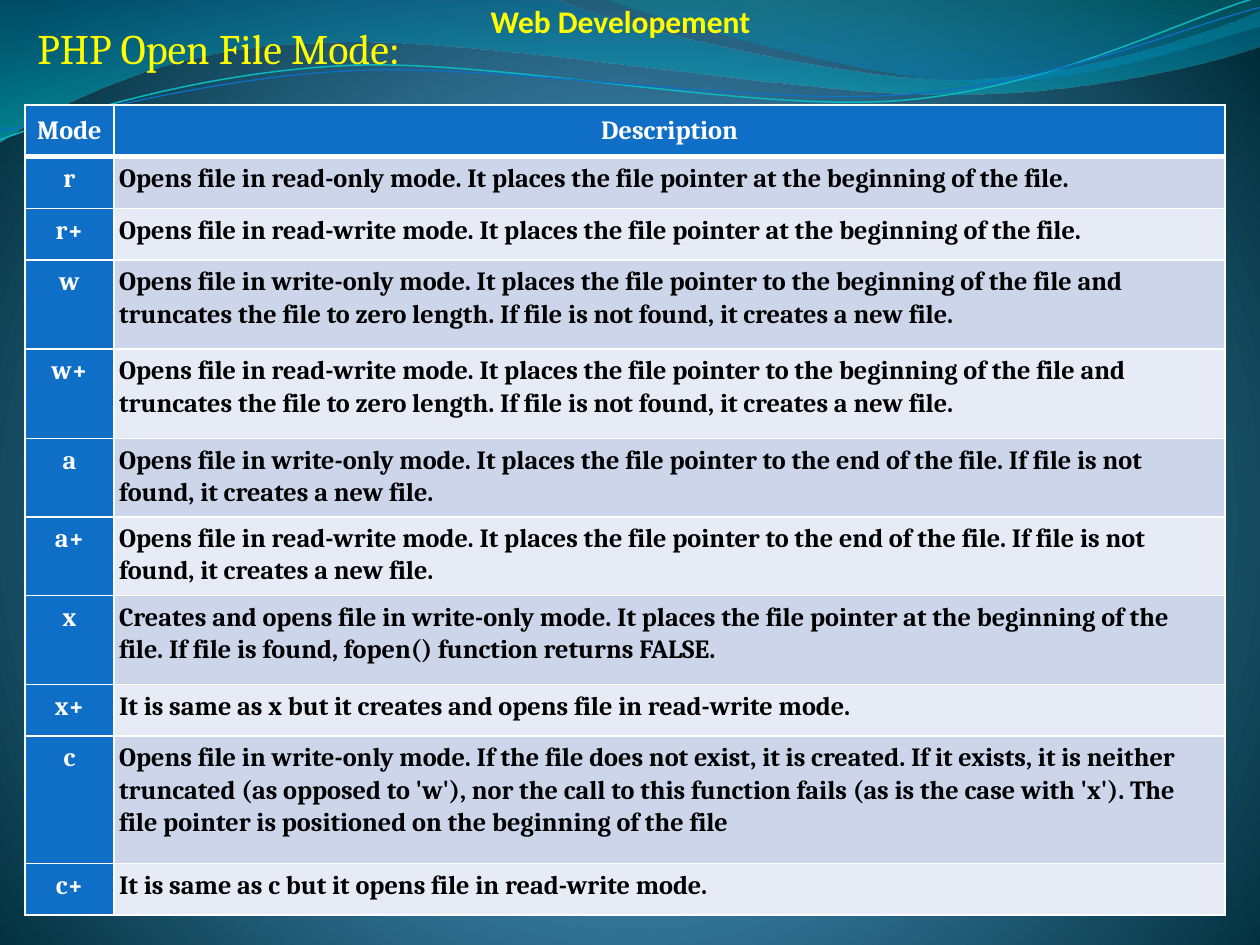
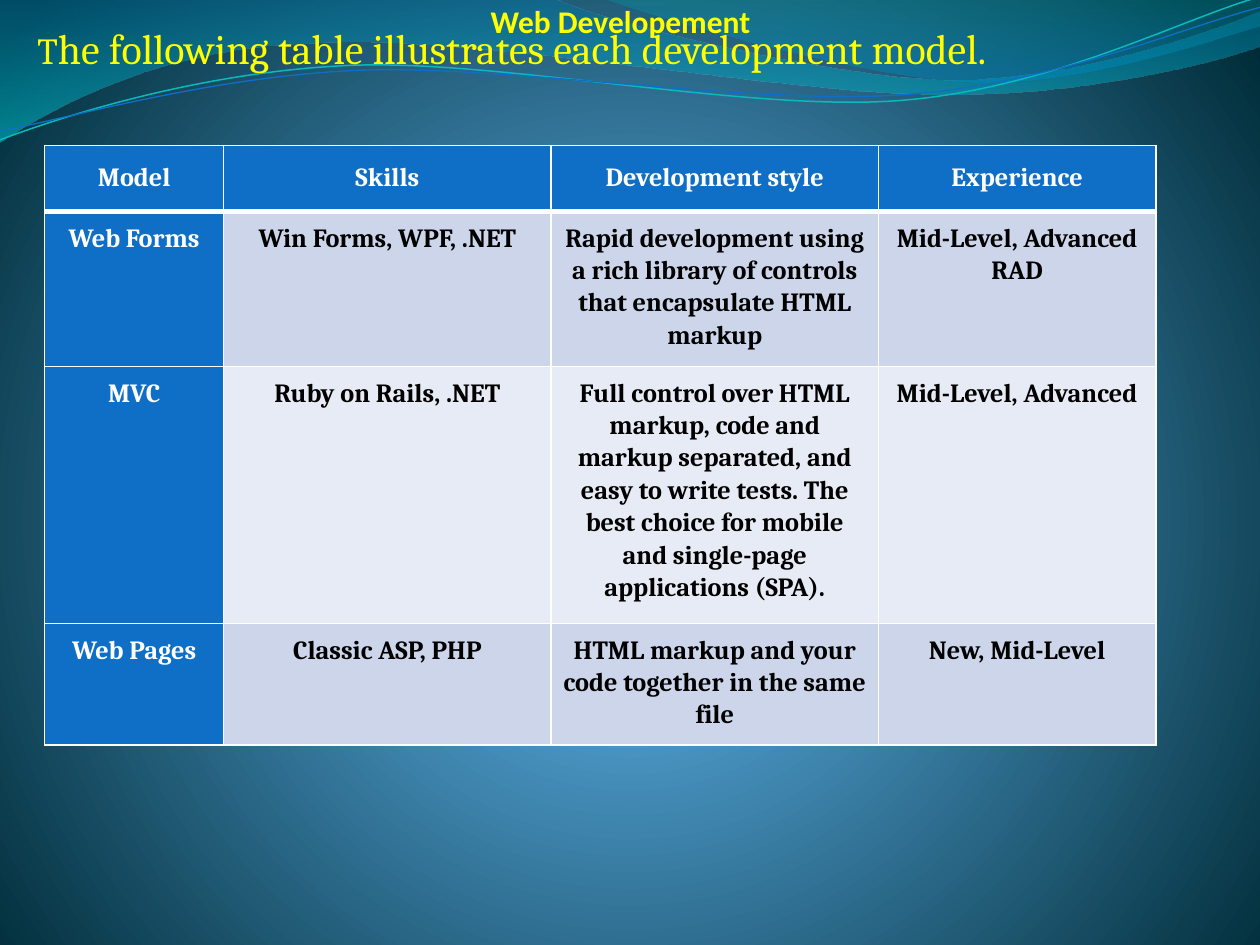
from dataclasses import dataclass
from itertools import chain

from lxml import etree
from pptx import Presentation
from pptx.dml.color import RGBColor
from pptx.enum.text import MSO_ANCHOR, MSO_AUTO_SIZE, PP_ALIGN
from pptx.oxml.ns import qn
from pptx.oxml.xmlchemy import BaseOxmlElement
from pptx.presentation import Presentation as Deck
from pptx.slide import Slide
from pptx.table import _Cell
from pptx.text.text import _Paragraph
from pptx.util import Cm, Length, Pt

LEFT = PP_ALIGN.LEFT
CENTER = PP_ALIGN.CENTER
TOP = MSO_ANCHOR.TOP
NO_AUTOFIT = MSO_AUTO_SIZE.NONE
TITLE_ONLY = 5
HARD_SPACE = chr(160)

Point = tuple[float, float]


@dataclass(frozen=True)
class Stop:
    position: int
    color: str
    opacity: int = 100


@dataclass(frozen=True)
class Theme:
    heading_font: str = "Cambria"
    banner_font: str = "Calibri"
    yellow: str = "FFFF00"
    white: str = "FFFFFF"
    black: str = "000000"
    blue: str = "0F6FC6"
    aqua: str = "0AB8BF"
    dark_row: str = "CCD5EA"
    light_row: str = "E7EBF5"
    title_size: float = 24
    small_initial_size: float = 21
    banner_size: float = 18
    table_size: float = 15
    table_spacing: float = 1.07
    thin_border: float = 1
    thick_border: float = 3
    background: tuple[Stop, ...] = (Stop(0, "4AA0D6"), Stop(25, "4C98C7"), Stop(100, "002C38"))
    wide_wave: tuple[Stop, ...] = (Stop(0, "0074A1", 45), Stop(100, "00C6CF", 55))
    right_wave: tuple[Stop, ...] = (Stop(0, "00A1A9", 30), Stop(80, "008BBF", 45))


THEME = Theme()


@dataclass(frozen=True)
class Wave:
    start: Point
    segments: tuple[tuple[Point, ...], ...]
    stops: tuple[Stop, ...] = ()
    line_color: str = ""
    line_width: float = 0


@dataclass(frozen=True)
class TitleRun:
    text: str
    size: float = THEME.title_size


@dataclass(frozen=True)
class TableSlide:
    title: tuple[TitleRun, ...]
    left: float
    top: float
    columns: tuple[float, ...]
    heights: tuple[float, ...]
    header_margin: float
    body_margin: float
    body_alignment: PP_ALIGN
    rows: tuple[tuple[str, ...], ...]
    right_margin: float = 0.2


def in_mode(access: str) -> str:
    return HARD_SPACE.join(("in", access, "mode."))


READ_ONLY, READ_WRITE, WRITE_ONLY = map(in_mode, ("read-only", "read-write", "write-only"))
AT_BEGINNING = "It places the file pointer at the beginning of the file."
TRUNCATES = ("It places the file pointer to the beginning of the file and truncates the file "
             "to zero length. If file is not found, it creates a new file.")
AT_END = "It places the file pointer to the end of the file. If file is not found, it creates a new file."

WAVES = (
    Wave((0, 0), (
        ((11.18, -0.03),),
        ((12.09, 0.43), (16.87, 1.6), (19.25, 1.6)),
        ((21.67, 1.6), (24.33, 0.66), (25.4, 0.23)),
        ((25.43, 0.91),),
        ((24.97, 1.12), (22.1, 1.93), (18.95, 1.9)),
        ((15.8, 1.9), (9.7, 0.71), (6.53, 0.86)),
        ((3.28, 0.91), (1.17, 2.11), (-0.03, 2.87)),
        ((0, 0),),
    ), stops=THEME.wide_wave),
    Wave((12.17, -0.03), (
        ((12.93, 0.28), (17.32, 1.57), (19.53, 1.65)),
        ((21.74, 1.75), (24.41, 0.81), (25.4, 0.53)),
        ((25.4, 0),),
        ((12.17, -0.03),),
    ), stops=THEME.right_wave),
    Wave((0, 2.82), (
        ((1.22, 2.36), (4.01, 1.45), (7.04, 1.32)),
        ((10.03, 1.19), (15.06, 2.26), (18.11, 2.03)),
        ((21.16, 1.8), (23.83, 0.38), (25.35, -0.05)),
    ), line_color=THEME.aqua, line_width=0.85),
    Wave((0, 2.64), (
        ((1.19, 2.44), (4.17, 1.55), (7.19, 1.42)),
        ((10.24, 1.3), (15.16, 2.13), (18.21, 1.91)),
        ((21.23, 1.7), (23.9, 0.53), (25.4, 0.15)),
    ), line_color=THEME.blue, line_width=0.75),
)

TABLE_SLIDES = (
    TableSlide(
        title=(TitleRun("PHP Open File Mode:"),),
        left=0.5, top=2.12,
        columns=(1.8, 22.4),
        heights=(1.04, 1.04, 1.04, 1.8, 1.8, 1.58, 1.58, 1.8, 1.04, 2.57, 1.04),
        header_margin=0.17, body_margin=0.1, body_alignment=LEFT,
        rows=(
            ("Mode", "Description"),
            ("r", f"Opens file {READ_ONLY} {AT_BEGINNING}"),
            ("r+", f"Opens file {READ_WRITE} {AT_BEGINNING}"),
            ("w", f"Opens file {WRITE_ONLY} {TRUNCATES}"),
            ("w+", f"Opens file {READ_WRITE} {TRUNCATES}"),
            ("a", f"Opens file {WRITE_ONLY} {AT_END}"),
            ("a+", f"Opens file {READ_WRITE} {AT_END}"),
            ("x", f"Creates and opens file {WRITE_ONLY} {AT_BEGINNING} "
                  "If file is found, fopen() function returns FALSE."),
            ("x+", f"It is same as x but it creates and opens file {READ_WRITE}"),
            ("c", f"Opens file {WRITE_ONLY} If the file does not exist, it is created. If it exists, "
                  "it is neither truncated (as opposed to 'w'), nor the call to this function fails "
                  "(as is the case with 'x'). The file pointer is positioned on the beginning of the file"),
            ("c+", f"It is same as c but it opens file {READ_WRITE}"),
        ),
    ),
    TableSlide(
        title=(
            TitleRun("T", THEME.small_initial_size),
            TitleRun("he following table illustrates each development model."),
        ),
        left=0.9, top=2.93,
        columns=(3.61, 6.6, 6.6, 5.59),
        heights=(1.33, 3.13, 5.18, 2.45),
        header_margin=0.3, body_margin=0.2, body_alignment=CENTER,
        rows=(
            ("Model", "Skills", "Development style", "Experience"),
            ("Web Forms", "Win Forms, WPF, .NET",
             "Rapid development using a rich library of controls that encapsulate HTML markup",
             "Mid-Level, Advanced RAD"),
            ("MVC", "Ruby on Rails, .NET",
             "Full control over HTML markup, code and markup separated, and easy to write tests. "
             "The best choice for mobile and single-page applications (SPA).",
             "Mid-Level, Advanced"),
            ("Web Pages", "Classic ASP, PHP",
             "HTML markup and your code together in the same file", "New, Mid-Level"),
        ),
    ),
)


def set_font(paragraph: _Paragraph, name: str, size: float, color: str, bold: bool) -> None:
    font = paragraph.font
    font.name = name
    font.size = Pt(size)
    font.bold = bold
    font.color.rgb = RGBColor.from_string(color)


def make_gradient(stops: tuple[Stop, ...]) -> BaseOxmlElement:
    gradient = etree.Element(qn("a:gradFill"), rotWithShape="1")
    stop_list = etree.SubElement(gradient, qn("a:gsLst"))
    for stop in stops:
        entry = etree.SubElement(stop_list, qn("a:gs"), pos=str(stop.position * 1000))
        color = etree.SubElement(entry, qn("a:srgbClr"), val=stop.color)
        if stop.opacity < 100:
            etree.SubElement(color, qn("a:alpha"), val=str(stop.opacity * 1000))
    return gradient


def replace_solid_fill(properties: BaseOxmlElement, gradient: BaseOxmlElement) -> None:
    properties.replace(properties.find(qn("a:solidFill")), gradient)


def paint_background(presentation: Deck) -> None:
    master = presentation.slide_master
    master.background.fill.solid()
    gradient = make_gradient(THEME.background)
    circle = etree.SubElement(gradient, qn("a:path"), path="circle")
    etree.SubElement(circle, qn("a:fillToRect"), l="10000", t="110000", r="10000", b="100000")
    replace_solid_fill(master.element.find(".//" + qn("p:bgPr")), gradient)


def to_emu(point: Point) -> tuple[Length, Length]:
    return Cm(point[0]), Cm(point[1])


def bend_segments(outline: BaseOxmlElement, wave: Wave) -> None:
    lines = iter(outline.findall(".//" + qn("a:lnTo")))
    for segment in wave.segments:
        first, *others = [next(lines) for _ in segment]
        if others:
            first.tag = qn("a:cubicBezTo")
            for line in others:
                first.append(line[0])
                line.getparent().remove(line)


def draw_wave(slide: Slide, wave: Wave) -> None:
    builder = slide.shapes.build_freeform(*to_emu(wave.start))
    builder.add_line_segments(map(to_emu, chain.from_iterable(wave.segments)), close=bool(wave.stops))
    shape = builder.convert_to_shape()
    bend_segments(shape.element, wave)
    shape.shadow.inherit = False
    if wave.stops:
        shape.line.fill.background()
        shape.fill.solid()
        gradient = make_gradient(wave.stops)
        etree.SubElement(gradient, qn("a:lin"), ang="5400000", scaled="1")
        replace_solid_fill(shape.element.spPr, gradient)
    else:
        shape.fill.background()
        shape.line.color.rgb = RGBColor.from_string(wave.line_color)
        shape.line.width = Pt(wave.line_width)
    slide.slide_layout.slide_master.shapes.element.append(shape.element)


def add_banner(slide: Slide) -> None:
    frame = slide.shapes.add_textbox(Cm(4.57), Cm(-0.08), Cm(15.88), Cm(1.02)).text_frame
    frame.word_wrap = True
    paragraph = frame.paragraphs[0]
    paragraph.text = "Web Developement"
    paragraph.alignment = CENTER
    set_font(paragraph, THEME.banner_font, THEME.banner_size, THEME.yellow, True)


def fill_title(slide: Slide, runs: tuple[TitleRun, ...]) -> None:
    title = slide.shapes.title
    title.left, title.top, title.width, title.height = Cm(0.5), Cm(0.33), Cm(24.41), Cm(2.25)
    frame = title.text_frame
    frame.auto_size = NO_AUTOFIT
    frame.vertical_anchor = TOP
    paragraph = frame.paragraphs[0]
    paragraph.alignment = LEFT
    set_font(paragraph, THEME.heading_font, THEME.title_size, THEME.yellow, False)
    for title_run in runs:
        run = paragraph.add_run()
        run.text = title_run.text
        if title_run.size != THEME.title_size:
            run.font.size = Pt(title_run.size)


def add_borders(cell: _Cell, row: int) -> None:
    thick_side = {0: "lnB", 1: "lnT"}.get(row)
    properties = cell._tc.get_or_add_tcPr()
    for side in ("lnL", "lnR", "lnT", "lnB"):
        width = THEME.thick_border if side == thick_side else THEME.thin_border
        line = etree.SubElement(properties, qn(f"a:{side}"), w=str(Pt(width)))
        fill = etree.SubElement(line, qn("a:solidFill"))
        etree.SubElement(fill, qn("a:srgbClr"), val=THEME.white)


def format_cell(cell: _Cell, row: int, column: int, content: TableSlide) -> None:
    heading = row == 0 or column == 0
    row_color = THEME.dark_row if row % 2 else THEME.light_row
    add_borders(cell, row)
    cell.fill.solid()
    cell.fill.fore_color.rgb = RGBColor.from_string(THEME.blue if heading else row_color)
    margin = Cm(content.body_margin if row else content.header_margin)
    cell.margin_left = cell.margin_top = cell.margin_bottom = margin
    cell.margin_right = margin if heading else Cm(content.right_margin)
    paragraph = cell.text_frame.paragraphs[0]
    paragraph.text = content.rows[row][column]
    paragraph.alignment = CENTER if heading else content.body_alignment
    paragraph.line_spacing = THEME.table_spacing
    set_font(paragraph, THEME.heading_font, THEME.table_size, THEME.white if heading else THEME.black, True)


def add_grid(slide: Slide, content: TableSlide) -> None:
    table = slide.shapes.add_table(
        len(content.rows), len(content.columns), Cm(content.left), Cm(content.top),
        Cm(sum(content.columns)), Cm(sum(content.heights)),
    ).table
    for column, width in zip(table.columns, content.columns):
        column.width = Cm(width)
    for row_index, height in enumerate(content.heights):
        table.rows[row_index].height = Cm(height)
        for column_index in range(len(content.columns)):
            format_cell(table.cell(row_index, column_index), row_index, column_index, content)


def main() -> None:
    presentation = Presentation()
    presentation.slide_width, presentation.slide_height = Cm(25.4), Cm(19.05)
    paint_background(presentation)
    slides = [presentation.slides.add_slide(presentation.slide_layouts[TITLE_ONLY]) for _ in TABLE_SLIDES]
    for wave in WAVES:
        draw_wave(slides[0], wave)
    for slide, content in zip(slides, TABLE_SLIDES):
        add_banner(slide)
        fill_title(slide, content.title)
        add_grid(slide, content)
    presentation.save("out.pptx")


if __name__ == "__main__":
    main()
